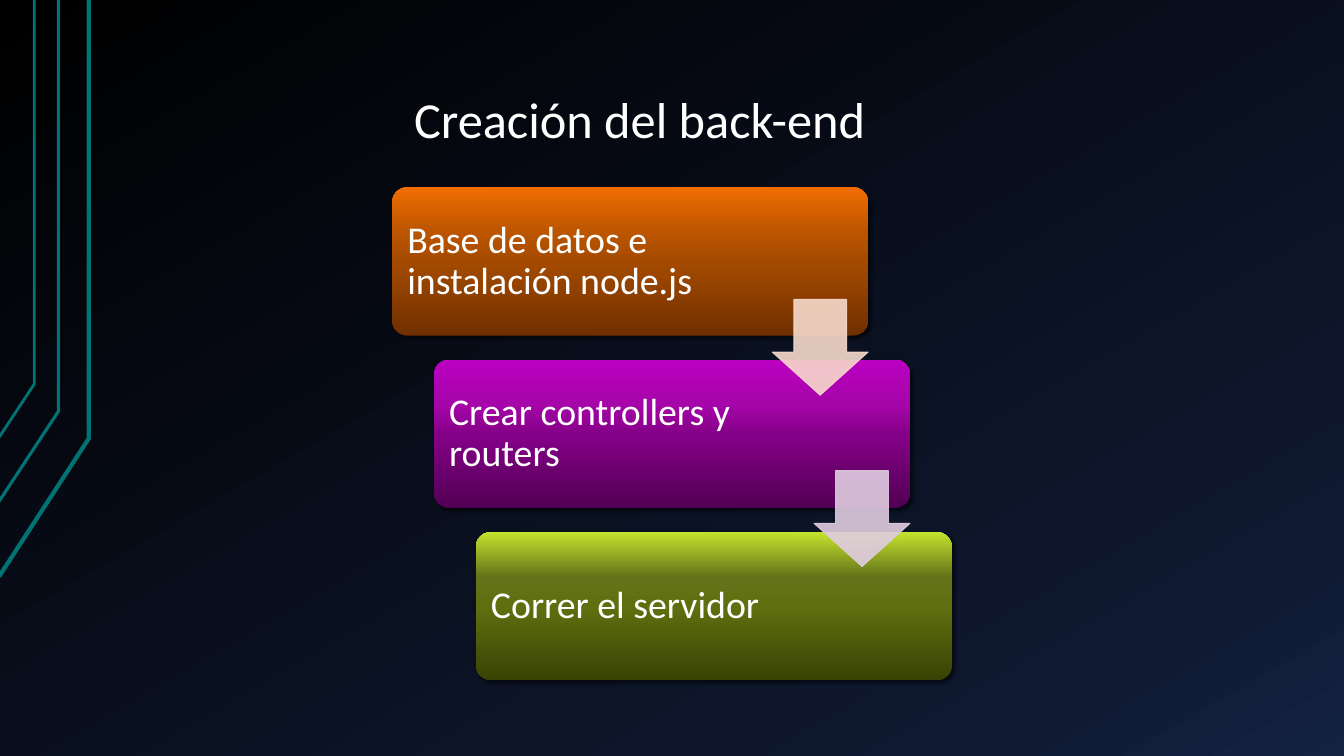
"""Build the slide on the steps for creating the back-end."""
from dataclasses import dataclass

from lxml import etree
from pptx import Presentation
from pptx.dml.color import RGBColor
from pptx.enum.shapes import MSO_SHAPE
from pptx.enum.text import MSO_ANCHOR, PP_ALIGN
from pptx.oxml.ns import qn
from pptx.util import Inches, Pt

ROUND_RECT, DOWN_ARROW = MSO_SHAPE.ROUNDED_RECTANGLE, MSO_SHAPE.DOWN_ARROW
MIDDLE, BOTTOM = MSO_ANCHOR.MIDDLE, MSO_ANCHOR.BOTTOM
LEFT, CENTER = PP_ALIGN.LEFT, PP_ALIGN.CENTER

Stops = tuple[tuple[int, str], ...]
Point = tuple[float, float]


@dataclass(frozen=True)
class Theme:
    """Colours, font and type sizes of the slide."""
    font: str = "Calibri"
    title_size: float = 36
    step_size: float = 27
    text: str = "FFFFFF"
    trace: str = "007373"
    shadow: str = "000000"
    background: Stops = ((0, "000000"), (85, "0F1931"), (100, "142242"))
    orange: Stops = ((0, "703000"), (50, "A44A00"), (70, "BC5500"), (100, "F26D00"))
    purple: Stops = ((0, "520054"), (50, "850088"), (70, "A505A9"), (100, "BC00C0"))
    green: Stops = ((0, "394404"), (50, "5F6F0F"), (70, "65741A"), (100, "C4E32D"))
    peach: str = "F7DACC"
    lilac: str = "E0CCE1"


@dataclass(frozen=True)
class Trace:
    """A circuit line at the left edge."""
    points: tuple[Point, ...]
    width: float


@dataclass(frozen=True)
class Step:
    """A box of the staircase."""
    text: str
    stops: Stops
    text_width: float


@dataclass(frozen=True)
class Arrow:
    """An arrow between two steps."""
    top: float
    color: str


THEME = Theme()
TRACES = (
    Trace(((-0.01, 5.72), (0.88, 4.35), (0.88, 0)), 3),
    Trace(((-0.02, 4.99), (0.58, 4.08), (0.58, 0)), 2.25),
    Trace(((-0.01, 4.34), (0.34, 3.81), (0.34, 0)), 2),
)
STEPS = (
    Step("Base de datos e instalación node.js", THEME.orange, 3.14),
    Step("Crear controllers y routers", THEME.purple, 3.27),
    Step("Correr el servidor", THEME.green, 3.27),
)
ARROWS = (Arrow(2.97, THEME.peach), Arrow(4.67, THEME.lilac))
STEP_LEFT, STEP_TOP, STEP_W, STEP_H = 3.89, 1.86, 4.72, 1.47
STEP_DX, STEP_DY, TEXT_PAD = 0.415, 1.71, 0.04
ARROW_LEFT, ARROW_SIZE = 7.66, 0.95


def set_gradient(fill, element, stops: Stops, angle: int) -> None:
    """Fill with a linear gradient, its angle in clockwise degrees."""
    fill.gradient()
    grad = next(element.iter(qn("a:gradFill")))
    gs_list = grad.find(qn("a:gsLst"))
    for gs in list(gs_list):
        gs_list.remove(gs)
    for pos, color in stops:
        gs = etree.SubElement(gs_list, qn("a:gs"), pos=str(pos * 1000))
        etree.SubElement(gs, qn("a:srgbClr"), val=color)
    grad.find(qn("a:lin")).set("ang", str(angle * 60000))


def add_shadow(sp) -> None:
    """Give a shape a soft shadow to the lower right."""
    effects = sp._element.spPr.find(qn("a:effectLst"))
    shadow = etree.SubElement(
        effects, qn("a:outerShdw"), blurRad=str(Pt(3)), dist=str(Pt(2)),
        dir=str(45 * 60000), rotWithShape="0")
    color = etree.SubElement(shadow, qn("a:srgbClr"), val=THEME.shadow)
    etree.SubElement(color, qn("a:alpha"), val="60000")


def add_text(s, box: tuple[float, ...], text: str, size: float, insets: Point,
             anchor: MSO_ANCHOR, align: PP_ALIGN, after: float) -> None:
    """Add a wrapped text box holding one paragraph."""
    tf = s.shapes.add_textbox(*map(Inches, box)).text_frame
    side, end = map(Inches, insets)
    p = tf.paragraphs[0]
    r = p.add_run()
    formats = (
        (tf, {"word_wrap": True, "vertical_anchor": anchor,
              "margin_left": side, "margin_right": side,
              "margin_top": end, "margin_bottom": end}),
        (p, {"alignment": align, "line_spacing": 0.9, "space_after": Pt(after)}),
        (r, {"text": text}),
        (r.font, {"name": THEME.font, "size": Pt(size)}),
        (r.font.color, {"rgb": RGBColor.from_string(THEME.text)}),
    )
    for target, values in formats:
        for name, value in values.items():
            setattr(target, name, value)


def add_trace(s, trace: Trace) -> None:
    """Draw an open circuit line."""
    start, *rest = [(Inches(x), Inches(y)) for x, y in trace.points]
    builder = s.shapes.build_freeform(*start)
    builder.add_line_segments(rest, close=False)
    sp = builder.convert_to_shape()
    sp.shadow.inherit = False
    sp.fill.background()
    sp.line.color.rgb = RGBColor.from_string(THEME.trace)
    sp.line.width = Pt(trace.width)


def add_step(s, index: int, step: Step) -> None:
    """Draw a step and its text at its place on the staircase."""
    left, top = STEP_LEFT + index * STEP_DX, STEP_TOP + index * STEP_DY
    sp = s.shapes.add_shape(
        ROUND_RECT, *map(Inches, (left, top, STEP_W, STEP_H)))
    sp.adjustments[0] = 0.1
    sp.shadow.inherit = False
    set_gradient(sp.fill, sp._element, step.stops, 270)
    sp.line.fill.background()
    add_shadow(sp)
    box = (left + TEXT_PAD, top + TEXT_PAD, step.text_width, STEP_H - 2 * TEXT_PAD)
    add_text(s, box, step.text, THEME.step_size, (0.11, 0.11), MIDDLE, LEFT, 9.45)


def add_arrow(s, index: int, arrow: Arrow) -> None:
    """Draw a slightly transparent arrow to the next step."""
    left = ARROW_LEFT + index * STEP_DX
    sp = s.shapes.add_shape(
        DOWN_ARROW, *map(Inches, (left, arrow.top, ARROW_SIZE, ARROW_SIZE)))
    sp.adjustments[0], sp.adjustments[1] = 0.55, 0.45
    sp.shadow.inherit = False
    sp.fill.solid()
    for color in (sp.fill.fore_color, sp.line.color):
        color.rgb = RGBColor.from_string(arrow.color)
    sp.line.width = Pt(0.75)
    for color in sp._element.spPr.iter(qn("a:srgbClr")):
        etree.SubElement(color, qn("a:alpha"), val="90000")


def main() -> None:
    """Build and save the slide."""
    prs = Presentation()
    prs.slide_width, prs.slide_height = Inches(13.33), Inches(7.5)
    s = prs.slides.add_slide(prs.slide_layouts[6])
    set_gradient(s.background.fill, s._element, THEME.background, 60)
    for trace in TRACES:
        add_trace(s, trace)
    add_text(s, (0.68, 0.21, 11.33, 1.34), "Creación del back-end",
             THEME.title_size, (0.13, 0.07), BOTTOM, CENTER, 0)
    for index, step in enumerate(STEPS):
        add_step(s, index, step)
    for index, arrow in enumerate(ARROWS):
        add_arrow(s, index, arrow)
    prs.save("out.pptx")


if __name__ == "__main__":
    main()
